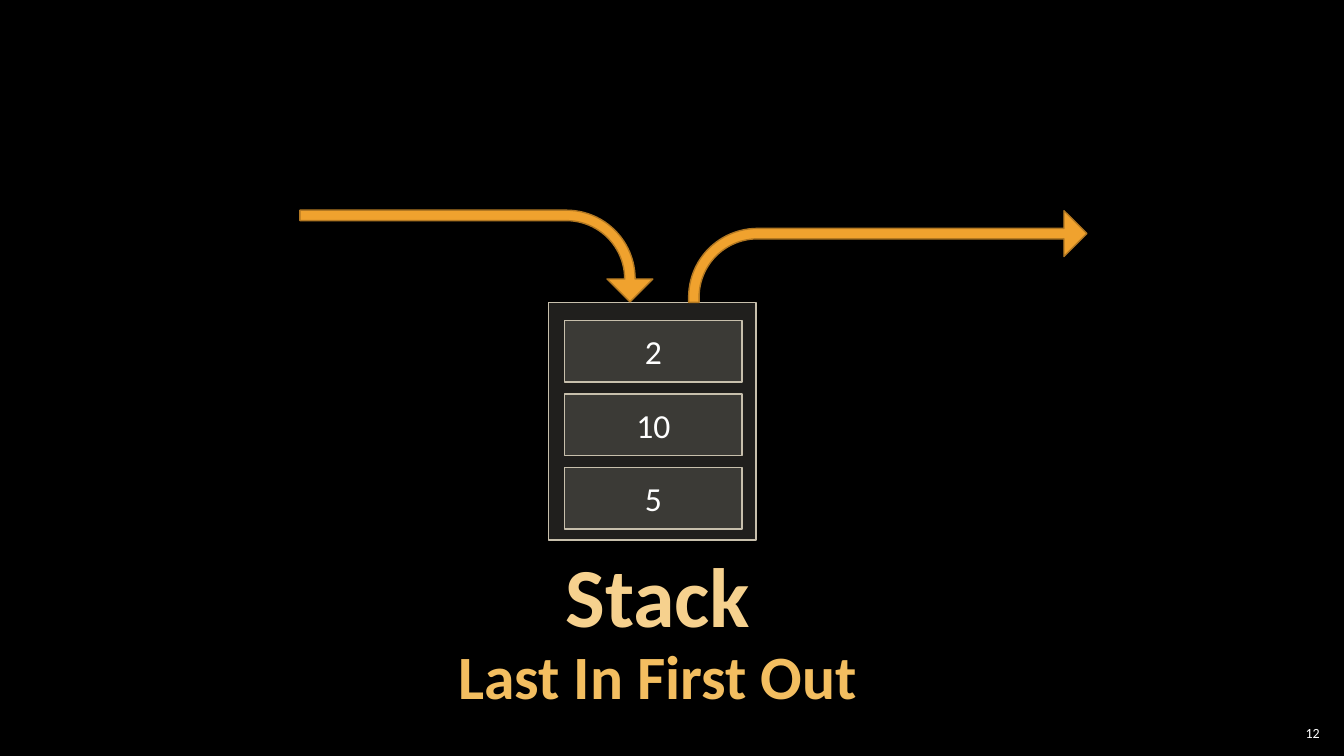
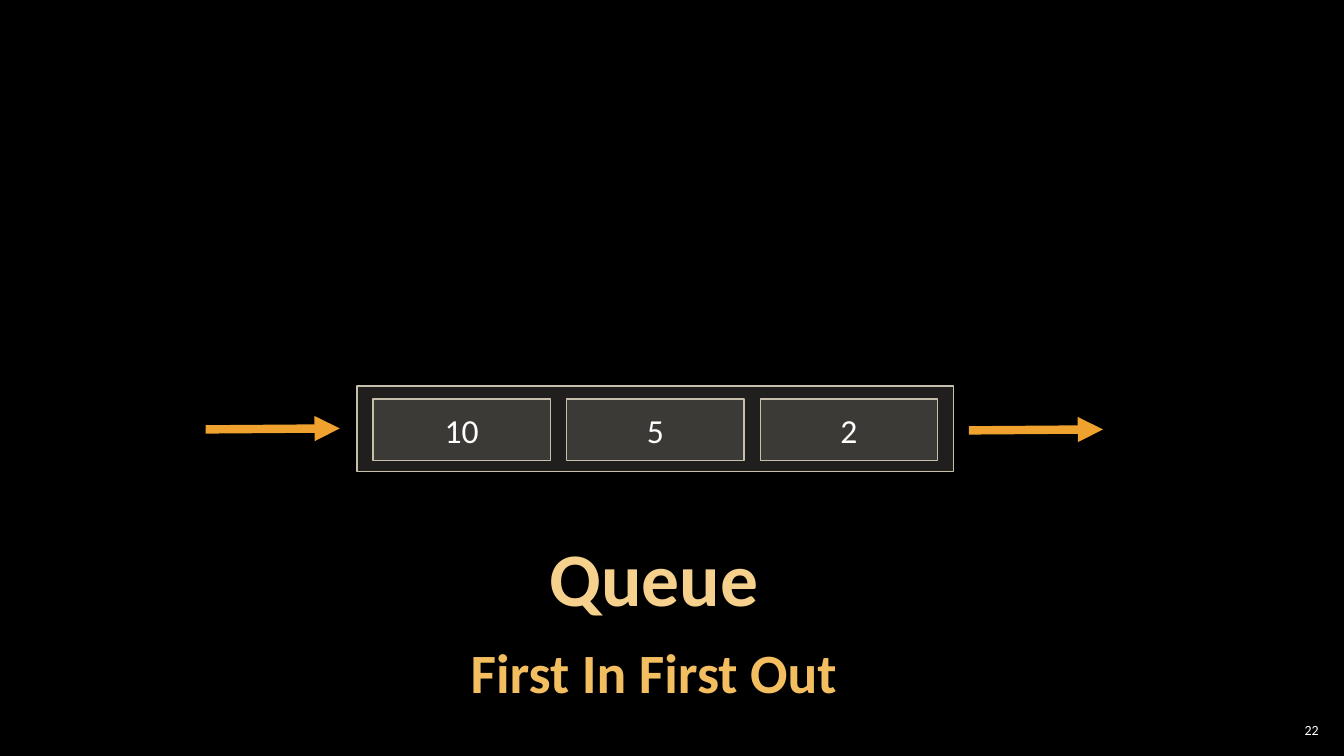
from lxml.etree import SubElement
from pptx import Presentation
from pptx.dml.color import RGBColor
from pptx.enum.shapes import MSO_CONNECTOR, MSO_SHAPE
from pptx.enum.text import MSO_ANCHOR, MSO_AUTO_SIZE, PP_ALIGN
from pptx.oxml.ns import qn
from pptx.util import Inches, Pt

FONT = "Calibri"
BLACK = "000000"
WHITE = "FFFFFF"
PANEL = "D9D5C7"
PANEL_LINE = "C7BFAC"
ORANGE = "F0A22E"
ORANGE_LINE = "B27822"
TITLE_COLOR = "F6D18E"
SUBTITLE_COLOR = "F3BE60"
PANEL_OPACITY = 15
CELL_WIDTH, CELL_HEIGHT = 1.76, 0.61


def color(hex_code):
    return RGBColor.from_string(hex_code)


def add_run(paragraph, text, size, hex_code, bold=False):
    run = paragraph.add_run()
    run.text = text
    run.font.name = FONT
    run.font.size = Pt(size)
    run.font.bold = bold
    run.font.color.rgb = color(hex_code)


def set_frame(frame, horizontal, vertical):
    frame.word_wrap = True
    frame.auto_size = MSO_AUTO_SIZE.NONE
    frame.vertical_anchor = MSO_ANCHOR.MIDDLE
    frame.margin_left = frame.margin_right = Inches(horizontal)
    frame.margin_top = frame.margin_bottom = Inches(vertical)


def add_number(slide, number, left, top):
    box = slide.shapes.add_textbox(Inches(left), Inches(top), Inches(0.47), Inches(0.21))
    set_frame(box.text_frame, 0.04, 0.04)
    paragraph = box.text_frame.paragraphs[0]
    paragraph.alignment = PP_ALIGN.RIGHT
    add_run(paragraph, number, 10, WHITE)


def set_title(slide, box, lines, gap=0):
    title = slide.shapes.title
    title.left, title.top, title.width, title.height = map(Inches, box)
    frame = title.text_frame
    set_frame(frame, 0.12, 0.04)
    for index, (text, size, hex_code) in enumerate(lines):
        paragraph = frame.add_paragraph() if index else frame.paragraphs[0]
        paragraph.alignment = PP_ALIGN.CENTER
        paragraph.line_spacing = 0.9
        paragraph.space_before = Pt(gap if index else 0)
        add_run(paragraph, text, size, hex_code, bold=True)


def add_filled(shapes, kind, box, fill, line):
    shape = shapes.add_shape(kind, *map(Inches, box))
    shape.shadow.inherit = False
    shape.fill.solid()
    shape.fill.fore_color.rgb = color(fill)
    shape.line.color.rgb = color(line)
    shape.line.width = Pt(1)
    return shape


def add_panel(shapes, box):
    panel = add_filled(shapes, MSO_SHAPE.RECTANGLE, box, PANEL, PANEL_LINE)
    fill_color = panel.fill._xPr.find(qn("a:solidFill")).find(qn("a:srgbClr"))
    SubElement(fill_color, qn("a:alpha"), val=str(PANEL_OPACITY * 1000))
    return panel


def add_cells(shapes, values, left, top, step_x=0, step_y=0):
    for index, value in enumerate(values):
        box = (left + index * step_x, top + index * step_y, CELL_WIDTH, CELL_HEIGHT)
        cell = add_panel(shapes, box)
        set_frame(cell.text_frame, 0.2, 0.1)
        paragraph = cell.text_frame.paragraphs[0]
        paragraph.alignment = PP_ALIGN.CENTER
        add_run(paragraph, value, 24, WHITE)


def add_bent_arrow(slide, box, rotation=0):
    arrow = add_filled(slide.shapes, MSO_SHAPE.BENT_ARROW, box, ORANGE, ORANGE_LINE)
    arrow.rotation = rotation
    for index, value in enumerate((0.114, 0.25, 0.25, 0.75)):
        arrow.adjustments[index] = value


def add_arrow(shapes, left, top):
    ends = map(Inches, (left, top, left + 1.33, top - 0.01))
    arrow = shapes.add_connector(MSO_CONNECTOR.STRAIGHT, *ends)
    arrow.line.color.rgb = color(ORANGE)
    arrow.line.width = Pt(6)
    SubElement(arrow.line._get_or_add_ln(), qn("a:tailEnd"), type="triangle")
    SubElement(arrow._element.spPr, qn("a:effectLst"))


def build_stack(slide):
    add_number(slide, "12", 12.66, 7.17)
    lines = [("Stack", 60, TITLE_COLOR), ("Last In First Out", 44, SUBTITLE_COLOR)]
    set_title(slide, (0.16, 5.25, 12.73, 2.08), lines)
    add_panel(slide.shapes, (5.44, 3, 2.06, 2.36))
    add_cells(slide.shapes, ("2", "10", "5"), 5.6, 3.18, step_y=0.73)
    add_bent_arrow(slide, (4.27, 0.79, 0.91, 3.5), rotation=90)
    add_bent_arrow(slide, (6.83, 2.09, 3.95, 0.91))


def build_queue(slide):
    add_number(slide, "22", 12.65, 7.14)
    lines = [("Queue", 54, TITLE_COLOR), ("First In First Out", 39.6, SUBTITLE_COLOR)]
    set_title(slide, (-0.18, 5.41, 13.33, 1.55), lines, gap=16)
    shapes = slide.shapes.add_group_shape().shapes
    add_panel(shapes, (3.54, 3.83, 5.92, 0.85))
    add_cells(shapes, ("10", "5", "2"), 3.7, 3.96, step_x=1.92)
    add_arrow(shapes, 9.61, 4.27)
    add_arrow(shapes, 2.04, 4.26)


def main():
    presentation = Presentation()
    presentation.slide_width = Inches(13.33)
    presentation.slide_height = Inches(7.5)
    background = presentation.slide_master.background.fill
    background.solid()
    background.fore_color.rgb = color(BLACK)
    title_only = presentation.slide_layouts[5]
    for build in (build_stack, build_queue):
        build(presentation.slides.add_slide(title_only))
    presentation.save("out.pptx")


if __name__ == "__main__":
    main()
